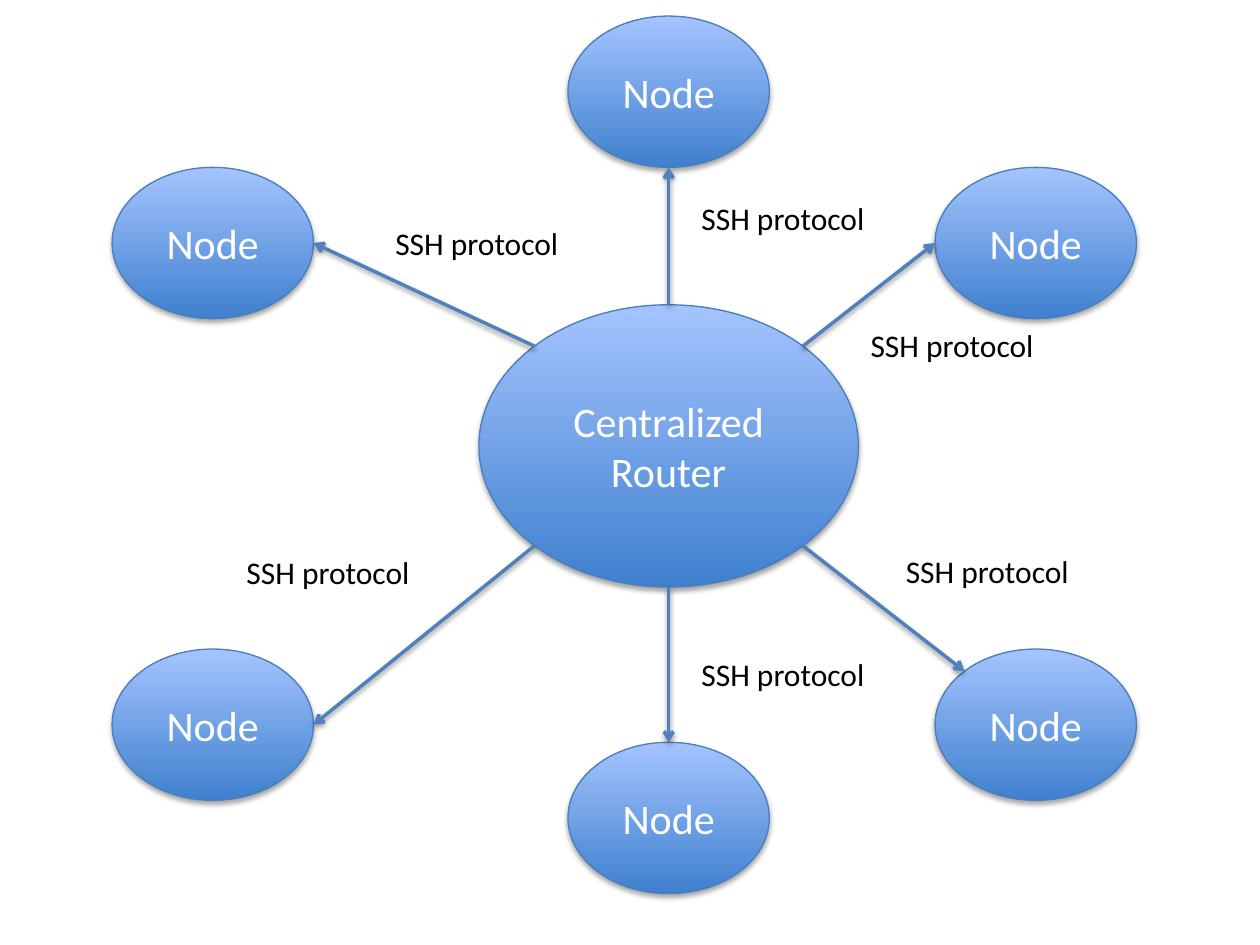
from math import cos, radians, sin

from lxml import etree
from pptx import Presentation
from pptx.dml.color import RGBColor
from pptx.enum.shapes import MSO_CONNECTOR, MSO_SHAPE
from pptx.enum.text import MSO_ANCHOR, MSO_AUTO_SIZE, PP_ALIGN
from pptx.oxml.ns import qn
from pptx.util import Cm, Pt

OVAL = MSO_SHAPE.OVAL
STRAIGHT = MSO_CONNECTOR.STRAIGHT
MIDDLE = MSO_ANCHOR.MIDDLE
FIT_SHAPE = MSO_AUTO_SIZE.SHAPE_TO_FIT_TEXT
LEFT, CENTER = PP_ALIGN.LEFT, PP_ALIGN.CENTER

DEEP_BLUE = RGBColor(0x3F, 0x80, 0xCE)
PALE_BLUE = RGBColor(0xA4, 0xC4, 0xFF)
OUTLINE_BLUE = RGBColor(0x4B, 0x7E, 0xBC)
ARROW_BLUE = RGBColor(0x4F, 0x81, 0xBD)
WHITE = RGBColor(0xFF, 0xFF, 0xFF)
BLACK = RGBColor(0x00, 0x00, 0x00)

FONT = "Calibri"
ROUTER_CENTER = (13.48, 8.99)
ROUTER_SIZE = (7.65, 5.69)
NODE_SIZE = (4.06, 3.05)
LABEL_SIZE = (3.86, 1.02)

LEFT_X, MIDDLE_X, RIGHT_X = 4.29, 13.48, 20.88
TOP_Y, UPPER_Y, LOWER_Y, BOTTOM_Y = 1.85, 4.9, 14.61, 16.49

# Node center, angle leaving the router, angle reaching the node, label corner
LINKS = [
    ((LEFT_X, UPPER_Y), 225, 0, (7.72, 4.39)),
    ((LEFT_X, LOWER_Y), 135, 0, (4.72, 11.02)),
    ((MIDDLE_X, TOP_Y), 270, 90, (13.89, 3.89)),
    ((MIDDLE_X, BOTTOM_Y), 90, 270, (13.89, 13.08)),
    ((RIGHT_X, UPPER_Y), 315, 180, (17.3, 6.45)),
    ((RIGHT_X, LOWER_Y), 45, 225, (18.01, 11.0)),
]


def add_shadow(properties, distance, opacity):
    effects = properties.find(qn("a:effectLst"))
    if effects is None:
        effects = etree.SubElement(properties, qn("a:effectLst"))
    shadow = etree.SubElement(
        effects, qn("a:outerShdw"), blurRad=str(Pt(3.1)),
        dist=str(Pt(distance)), dir="5400000", rotWithShape="0")
    color = etree.SubElement(shadow, qn("a:srgbClr"), val=str(BLACK))
    etree.SubElement(color, qn("a:alpha"), val=str(opacity * 1000))


def set_text(shape, text, size, color, alignment):
    shape.text_frame.text = text
    paragraph = shape.text_frame.paragraphs[0]
    paragraph.alignment = alignment
    font = paragraph.runs[0].font
    font.name = FONT
    font.size = Pt(size)
    font.color.rgb = color


def add_ellipse(slide, center, size, text):
    (x, y), (width, height) = center, size
    shape = slide.shapes.add_shape(
        OVAL, Cm(x - width / 2), Cm(y - height / 2), Cm(width), Cm(height))
    shape.fill.gradient()
    shape.fill.gradient_angle = 90
    for stop, position, color in zip(
            shape.fill.gradient_stops, (0, 1), (DEEP_BLUE, PALE_BLUE)):
        stop.position = position
        stop.color.rgb = color
    shape.line.color.rgb = OUTLINE_BLUE
    shape.line.width = Pt(0.75)
    shape.shadow.inherit = False
    add_shadow(shape.element.spPr, 1.8, 35)
    shape.text_frame.word_wrap = True
    shape.text_frame.vertical_anchor = MIDDLE
    set_text(shape, text, 24, WHITE, CENTER)


def rim_point(center, size, angle):
    turn = radians(angle)
    return (Cm(center[0] + size[0] / 2 * cos(turn)),
            Cm(center[1] + size[1] / 2 * sin(turn)))


def add_arrow(slide, start, end):
    connector = slide.shapes.add_connector(STRAIGHT, *start, *end)
    connector.line.color.rgb = ARROW_BLUE
    connector.line.width = Pt(2)
    properties = connector.element.spPr
    etree.SubElement(properties.find(qn("a:ln")), qn("a:tailEnd"), type="arrow")
    add_shadow(properties, 1.6, 38)


def add_label(slide, corner, text):
    box = slide.shapes.add_textbox(*map(Cm, corner + LABEL_SIZE))
    box.text_frame.word_wrap = False
    box.text_frame.auto_size = FIT_SHAPE
    set_text(box, text, 18, BLACK, LEFT)


def main():
    presentation = Presentation()
    presentation.slide_width = Cm(25.4)
    presentation.slide_height = Cm(19.05)
    slide = presentation.slides.add_slide(presentation.slide_layouts[6])

    add_ellipse(slide, ROUTER_CENTER, ROUTER_SIZE, "Centralized Router")
    for center, _, _, _ in LINKS:
        add_ellipse(slide, center, NODE_SIZE, "Node")
    for center, leaving, reaching, _ in LINKS:
        add_arrow(slide, rim_point(ROUTER_CENTER, ROUTER_SIZE, leaving),
                  rim_point(center, NODE_SIZE, reaching))
    for _, _, _, corner in LINKS:
        add_label(slide, corner, "SSH protocol")

    presentation.save("out.pptx")


main()
